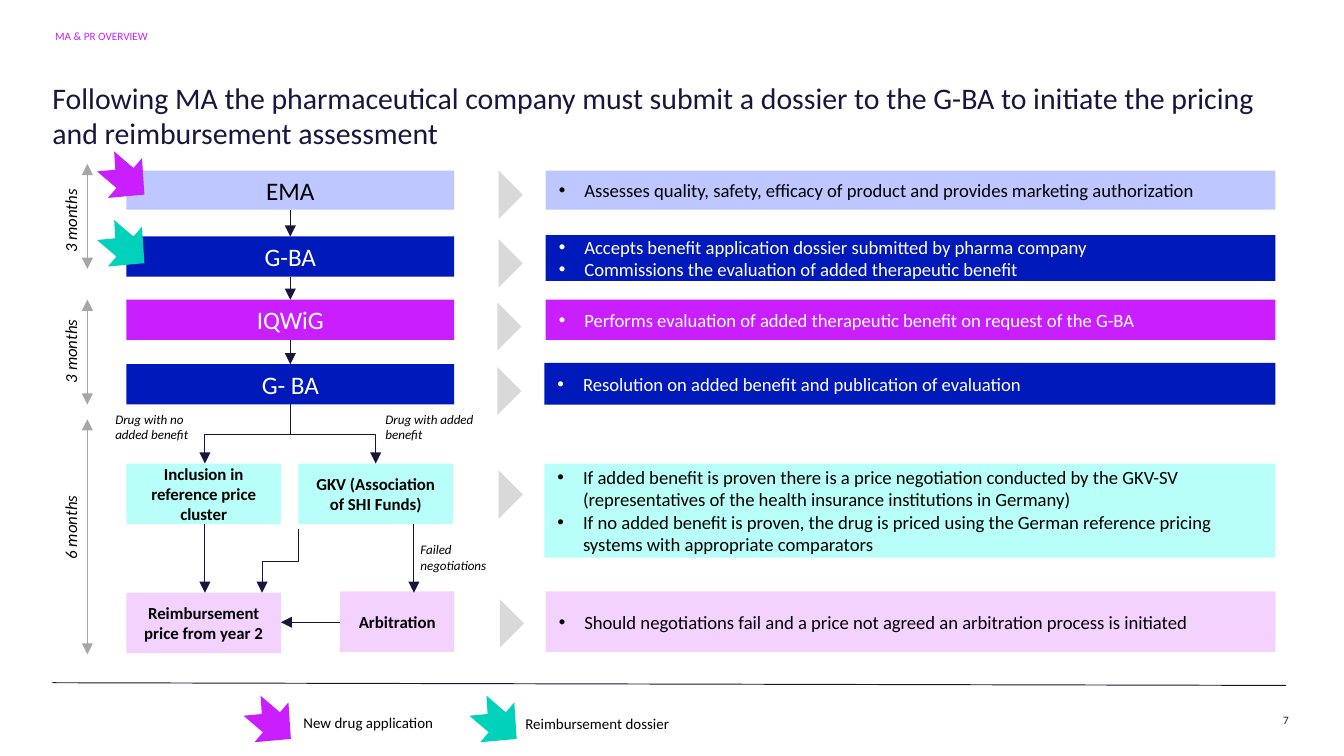
from lxml import etree
from pptx import Presentation
from pptx.dml.color import RGBColor
from pptx.enum import shapes as kinds, text as txt
from pptx.oxml.ns import qn
from pptx.util import Inches, Pt

FONT = "Calibri"
INK, BLACK, WHITE = "19153F", "000000", "FFFFFF"
GREY, SILVER = "A6A6A6", "D9D9D9"
LILAC, BLUE, MAGENTA, TEAL = "BEC7FF", "0019BA", "C91FFF", "00D1BA"
MINT, PINK = "B7FFF8", "F4D2FF"
SHAPE = kinds.MSO_SHAPE
CENTER, RIGHT = txt.PP_ALIGN.CENTER, txt.PP_ALIGN.RIGHT


def rgb(value):
    return RGBColor.from_string(value)


def write(frame, lines, size, color=BLACK, bold=False, italic=False, align=None):
    frame.text = "\n".join(lines)
    for paragraph in frame.paragraphs:
        paragraph.alignment = align or txt.PP_ALIGN.LEFT
        for run in paragraph.runs:
            font = run.font
            font.name, font.size = FONT, Pt(size)
            font.bold, font.italic = bold, italic
            font.color.rgb = rgb(color)


def add_text(slide, box, words, size, insets=None, wrap=True, **style):
    label = slide.shapes.add_textbox(*map(Inches, box))
    frame = label.text_frame
    frame.word_wrap = wrap
    if insets:
        (frame.margin_left, frame.margin_top,
         frame.margin_right, frame.margin_bottom) = map(Inches, insets)
    write(frame, [words], size, **style)
    return label


def add_block(slide, kind, box, fill, rotation=0):
    block = slide.shapes.add_shape(kind, *map(Inches, box))
    block.shadow.inherit = False
    block.fill.solid()
    block.fill.fore_color.rgb = rgb(fill)
    block.line.fill.background()
    block.rotation = rotation
    return block


def add_line(slide, start, end, color=INK, width=0.5, heads=("tailEnd",),
             kind=kinds.MSO_CONNECTOR.STRAIGHT):
    line = slide.shapes.add_connector(kind, *map(Inches, (*start, *end)))
    line.line.color.rgb = rgb(color)
    line.line.width = Pt(width)
    outline = line._element.spPr.find(qn("a:ln"))
    for head in heads:
        etree.SubElement(outline, qn("a:" + head), type="triangle")
    etree.SubElement(line._element.spPr, qn("a:effectLst"))
    return line


def add_elbow(slide, start, end):
    """Elbow that leaves downwards, runs sideways halfway, then goes down again."""
    (x1, y1), (x2, y2) = start, end
    middle_x, middle_y = (x1 + x2) / 2, (y1 + y2) / 2
    half_w, half_h = (y2 - y1) / 2, abs(x2 - x1) / 2
    side = 1 if x2 < x1 else -1
    elbow = add_line(slide, (middle_x - side * half_w, middle_y - half_h),
                     (middle_x + side * half_w, middle_y + half_h),
                     kind=kinds.MSO_CONNECTOR.ELBOW)
    quarter_turns = 1 if side == 1 else 3
    elbow._element.spPr.find(qn("a:xfrm")).set("rot", str(quarter_turns * 5400000))


def add_step(slide, box, words, fill, size=9, color=BLACK, bold=True):
    step = add_block(slide, SHAPE.RECTANGLE, box, fill)
    step.text_frame.word_wrap = True
    step.text_frame.vertical_anchor = txt.MSO_ANCHOR.MIDDLE
    write(step.text_frame, [words], size, color, bold, align=CENTER)


def add_explanation(slide, box, bullets, fill, color, chevron_left, chevron_top):
    add_block(slide, SHAPE.ISOSCELES_TRIANGLE,
              (chevron_left, chevron_top, 0.36, 0.18), SILVER, 90)
    panel = add_block(slide, SHAPE.ROUNDED_RECTANGLE, box, fill)
    panel.adjustments[0] = 0
    frame = panel.text_frame
    frame.word_wrap = True
    frame.vertical_anchor = txt.MSO_ANCHOR.MIDDLE
    write(frame, bullets, 10, color)
    for paragraph in frame.paragraphs:
        properties = paragraph._p.get_or_add_pPr()
        properties.set("marL", str(Inches(0.19)))
        properties.set("indent", str(Inches(-0.19)))
        etree.SubElement(properties, qn("a:buFont"), typeface="Arial")
        etree.SubElement(properties, qn("a:buChar"), char="•")


def add_marker(slide, left, top, fill):
    add_block(slide, SHAPE.NOTCHED_RIGHT_ARROW, (left, top, 0.38, 0.39), fill, 40.5)


def add_header(slide, left, top):
    section = add_text(slide, (left + 0.02, top, 2.75, 0.11), "MA & PR OVERVIEW", 6,
                       (0, 0, 0, 0), color=MAGENTA)
    section.text_frame.paragraphs[0].line_spacing = 0.9
    add_text(slide, (left, top + 0.32, 9.18, 0.62),
             "Following MA the pharmaceutical company must submit a dossier to the "
             "G-BA to initiate the pricing and reimbursement assessment",
             16, (0, 0.04, 0, 0), color=INK)


def add_stages(slide, left, width):
    """Stacked main stages, linked by arrows, with the two submission markers."""
    stages = [("EMA", 1.27, 0.29, LILAC, BLACK), ("G-BA", 1.76, 0.3, BLUE, WHITE),
              ("IQWiG", 2.23, 0.3, MAGENTA, WHITE), ("G- BA", 2.71, 0.3, BLUE, WHITE)]
    for name, top, height, fill, color in stages:
        add_step(slide, (left, top, width, height), name, fill, 13.5, color, False)
    middle = left + width / 2
    for (_, top, height, *_), (_, next_top, *_) in zip(stages, stages[1:]):
        add_line(slide, (middle, top + height), (middle, next_top))
    add_marker(slide, left - 0.2, 1.13, MAGENTA)
    add_marker(slide, left - 0.2, 1.64, TEAL)


def add_outcomes(slide, left, top):
    """Branches after the last stage, down to the price and arbitration."""
    half, height, price_top = 1.15, 0.45, top + 0.96
    cluster_x, fork_x = left + half / 2 + 0.01, left + 1.22
    gkv_left, arbitration_left = left + 1.28, left + 1.59
    failed_x, bottom = left + 2.14, top + height
    add_step(slide, (left, top, half, height),
             "Inclusion in reference price cluster", MINT)
    add_step(slide, (gkv_left, top, half, height),
             "GKV (Association of SHI Funds)", MINT)
    add_step(slide, (left, price_top, half, height),
             "Reimbursement price from year 2", PINK)
    add_step(slide, (arbitration_left, price_top - 0.01, 0.85, height),
             "Arbitration", PINK)

    for target_x in (cluster_x, gkv_left + half / 2):
        add_elbow(slide, (fork_x, top - 0.44), (target_x, top))
    add_elbow(slide, (gkv_left, bottom + 0.04), (left + 1.01, price_top))
    for x in (cluster_x, failed_x):
        add_line(slide, (x, bottom), (x, price_top))
    add_line(slide, (arbitration_left, price_top + 0.22),
             (left + half, price_top + 0.22))

    for dx, dy, words in [(-0.18, -0.44, "Drug with no added benefit"),
                          (1.83, -0.44, "Drug with added benefit"),
                          (2.09, 0.53, "Failed negotiations")]:
        add_text(slide, (left + dx, top + dy, 0.87, 0.34), words, 7, italic=True)


def add_timeline(slide, x):
    for start, end, label_top, duration in [(1.22, 2, 1.26, "3 months"),
                                            (2.23, 3.01, 2.23, "3 months"),
                                            (3.12, 4.87, 3.54, "6 months")]:
        add_line(slide, (x, start), (x, end), GREY, 0.25, ("headEnd", "tailEnd"))
        label = add_text(slide, (x - 0.72, label_top, 1.19, 0.25), duration, 9,
                         italic=True)
        label.rotation = 270


def add_explanations(slide, left, right):
    for dx, top, height, fill, color, chevron_left, chevron_top, bullets in [
        (0.01, 1.27, 0.29, LILAC, BLACK, 3.62, 1.36,
         ["Assesses quality, safety, efficacy of product and provides marketing "
          "authorization"]),
        (0.01, 1.75, 0.34, BLUE, WHITE, 3.62, 1.87,
         ["Accepts benefit application dossier submitted by pharma company",
          "Commissions the evaluation of added therapeutic benefit"]),
        (0.01, 2.23, 0.3, MAGENTA, WHITE, 3.61, 2.34,
         ["Performs evaluation of added therapeutic benefit on request of the G-BA"]),
        (0, 2.7, 0.31, BLUE, WHITE, 3.61, 2.82,
         ["Resolution on added benefit and publication of evaluation"]),
        (0, 3.45, 0.7, MINT, BLACK, 3.62, 3.59,
         ["If added benefit is proven there is a price negotiation conducted by the "
          "GKV-SV (representatives of the health insurance institutions in Germany)",
          "If no added benefit is proven, the drug is priced using the German "
          "reference pricing systems with appropriate comparators"]),
        (0.01, 4.4, 0.45, PINK, BLACK, 3.63, 4.55,
         ["Should negotiations fail and a price not agreed an arbitration process "
          "is initiated"]),
    ]:
        add_explanation(slide, (left + dx, top, right - left - dx, height), bullets,
                        fill, color, chevron_left, chevron_top)


def add_footer(slide, left, top):
    add_line(slide, (left, top), (left + 9.18, top + 0.02), heads=())
    for dx, fill, text_dx, text_dy, width, words in [
            (1.44, MAGENTA, 1.77, 0.18, 1.27, "New drug application"),
            (3.12, TEAL, 3.42, 0.19, 1.42, "Reimbursement dossier")]:
        add_marker(slide, left + dx, top + 0.1, fill)
        add_text(slide, (left + text_dx, top + text_dy, width, 0.24), words, 8,
                 wrap=False)
    add_text(slide, (left + 8.97, top + 0.23, 0.23, 0.1), "7", 6, (0, 0, 0, 0),
             color=INK, align=RIGHT)


def main():
    deck = Presentation()
    deck.slide_width = Inches(10)
    deck.slide_height = deck.slide_width * 9 // 16
    slide = deck.slides.add_slide(deck.slide_layouts[6])
    add_header(slide, 0.39, 0.23)
    add_explanations(slide, 4.05, 9.49)
    add_stages(slide, 0.94, 2.44)
    add_outcomes(slide, 0.94, 3.45)
    add_timeline(slide, 0.65)
    add_footer(slide, 0.39, 5.08)
    deck.save("out.pptx")


if __name__ == "__main__":
    main()
